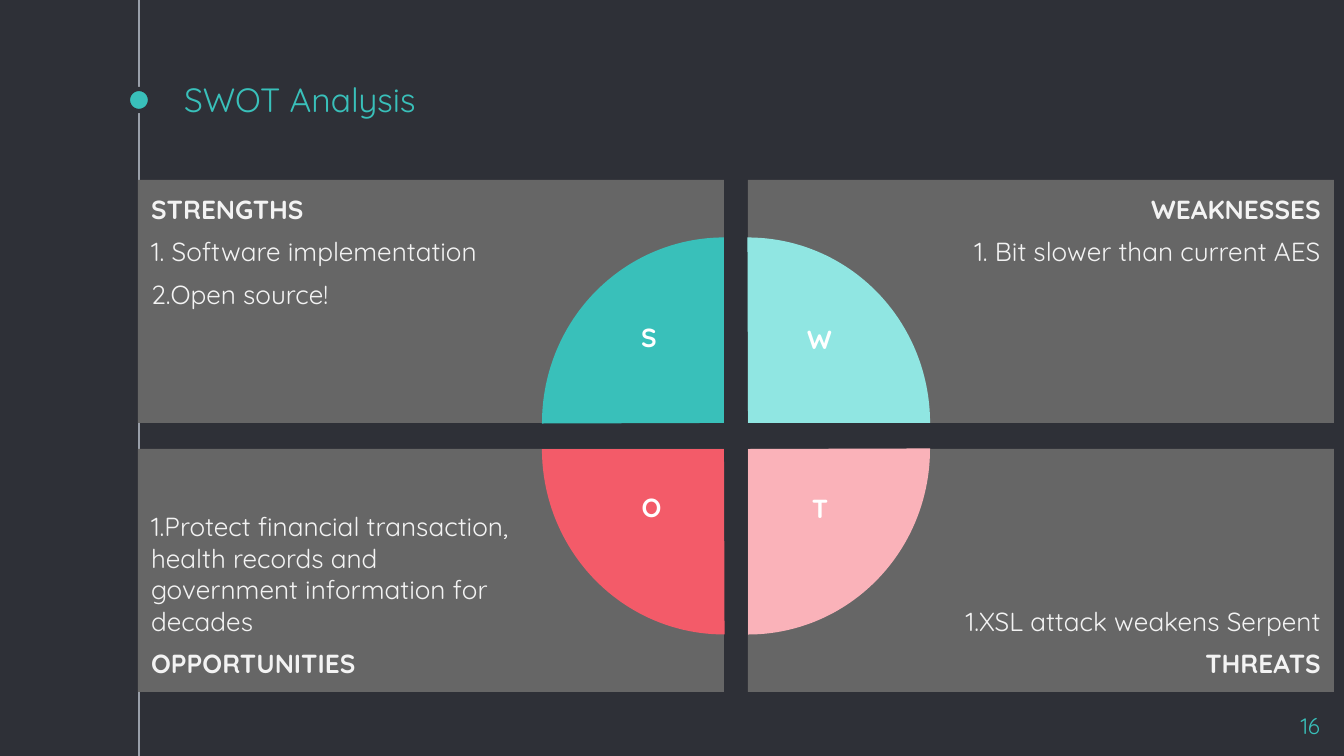
from lxml import etree
from pptx import Presentation
from pptx.dml.color import RGBColor
from pptx.enum.shapes import MSO_CONNECTOR, MSO_SHAPE
from pptx.enum.text import MSO_ANCHOR, PP_ALIGN
from pptx.oxml.ns import qn
from pptx.util import Emu, Pt

RECT, OVAL, PIE = MSO_SHAPE.RECTANGLE, MSO_SHAPE.OVAL, MSO_SHAPE.PIE
STRAIGHT = MSO_CONNECTOR.STRAIGHT
TOP, BOTTOM = MSO_ANCHOR.TOP, MSO_ANCHOR.BOTTOM
LEFT, CENTER, RIGHT = PP_ALIGN.LEFT, PP_ALIGN.CENTER, PP_ALIGN.RIGHT

PX_PER_INCH = 134.4
DARK, TEAL, GREY, PALE, WHITE = "2E3037", "39C0BA", "666666", "F3F3F3", "FFFFFF"


def px(n):
    return Emu(round(n * 914400 / PX_PER_INCH))


def rgb(value):
    return RGBColor.from_string(value)


class Deck:
    font = "Quicksand"

    def __init__(self, width, height):
        self.prs = Presentation()
        self.prs.slide_width, self.prs.slide_height = px(width), px(height)

    def add_slide(self, background):
        self.s = self.prs.slides.add_slide(self.prs.slide_layouts[5])
        fill = self.s.background.fill
        fill.solid()
        fill.fore_color.rgb = rgb(background)

    def add_lines(self, sp, lines, size, color, align=LEFT, anchor=TOP,
                  margins=(13, 13, 13, 13)):
        """Fill a shape with (text, bold) lines; margins are left, top, right, bottom."""
        tf = sp.text_frame
        tf.word_wrap = True
        tf.vertical_anchor = anchor
        (tf.margin_left, tf.margin_top,
         tf.margin_right, tf.margin_bottom) = map(px, margins)
        for i, (text, bold) in enumerate(lines):
            p = tf.add_paragraph() if i else tf.paragraphs[0]
            p.alignment = align
            p.space_before = Pt(6 if i else 0)
            r = p.add_run()
            r.text = text
            r.font.name, r.font.size, r.font.bold = self.font, Pt(size), bold
            r.font.color.rgb = rgb(color)

    def title(self, box, text):
        sp = self.s.shapes.title
        sp.left, sp.top, sp.width, sp.height = map(px, box)
        self.add_lines(sp, [(text, False)], 18, TEAL, anchor=BOTTOM)

    def text(self, box, text, size, color, bold=False, **style):
        sp = self.s.shapes.add_textbox(*map(px, box))
        self.add_lines(sp, [(text, bold)], size, color, **style)

    def shape(self, kind, box, fill, line=None, line_width=0):
        sp = self.s.shapes.add_shape(kind, *map(px, box))
        sp.shadow.inherit = False
        sp.fill.solid()
        sp.fill.fore_color.rgb = rgb(fill)
        if line:
            sp.line.color.rgb = rgb(line)
            sp.line.width = Pt(line_width)
        else:
            sp.line.fill.background()
        return sp

    def line(self, x1, y1, x2, y2, color, width):
        c = self.s.shapes.add_connector(STRAIGHT, *map(px, (x1, y1, x2, y2)))
        c.line.color.rgb = rgb(color)
        c.line.width = Pt(width)
        etree.SubElement(c._element.spPr, qn("a:effectLst"))

    def quarter(self, cx, cy, rotation, fill):
        """Quarter disc whose centre is (cx, cy), turned clockwise from upper left."""
        w, h = (364, 371) if rotation % 180 == 0 else (371, 364)
        sp = self.shape(PIE, (cx - w / 2, cy - h / 2, w, h), fill)
        sp.adjustments[0], sp.adjustments[1] = 107.89, 162
        sp.rotation = rotation


PANEL_W, PANEL_H = 586, 243
COLUMNS, ROWS = (138, 748), (180, 449)

# column, row, lines, letter, letter box, rotation, colour
QUADRANTS = [
    (0, 0, [("STRENGTHS", True), ("1. Software implementation", False),
            ("2.Open source!", False)],
     "S", (625, 314, 48, 69), 0, TEAL),
    (1, 0, [("WEAKNESSES", True), ("1. Bit slower than current AES", False)],
     "W", (777, 316, 85, 67), 90, "90E6E2"),
    (1, 1, [("1.XSL attack weakens Serpent", False), ("THREATS", True)],
     "T", (794, 485, 52, 66), 180, "FAB2B9"),
    (0, 1, [("1.Protect financial transaction, health records and "
             "government information for decades", False),
            ("OPPORTUNITIES", True)],
     "O", (620, 484, 63, 69), 270, "F35B69"),
]


def main():
    deck = Deck(1344, 756)
    deck.add_slide(DARK)
    deck.line(139, 0, 139, 756, "999FA9", 0.75)
    deck.shape(OVAL, (128, 89, 22, 22), TEAL, DARK, 2.25)
    deck.title((171, 81, 1008, 51), "SWOT Analysis")
    deck.text((1253, 699, 80, 46), "16", 12, TEAL, align=RIGHT)

    for col, row, lines, *_ in QUADRANTS:
        sp = deck.shape(RECT, (COLUMNS[col], ROWS[row], PANEL_W, PANEL_H), GREY)
        deck.add_lines(sp, lines, 14, PALE,
                       align=RIGHT if col else LEFT,
                       anchor=BOTTOM if row else TOP,
                       margins=(202, 13, 13, 13) if col else (13, 13, 202, 13))

    for col, row, _, _, _, rotation, color in QUADRANTS:
        cx = COLUMNS[1] if col else COLUMNS[0] + PANEL_W
        cy = ROWS[1] if row else ROWS[0] + PANEL_H
        deck.quarter(cx, cy, rotation, color)

    for _, _, _, letter, box, _, _ in QUADRANTS:
        deck.text(box, letter, 14, WHITE, bold=True, align=CENTER,
                  margins=(13, 7, 13, 7))

    deck.prs.save("out.pptx")


if __name__ == "__main__":
    main()
